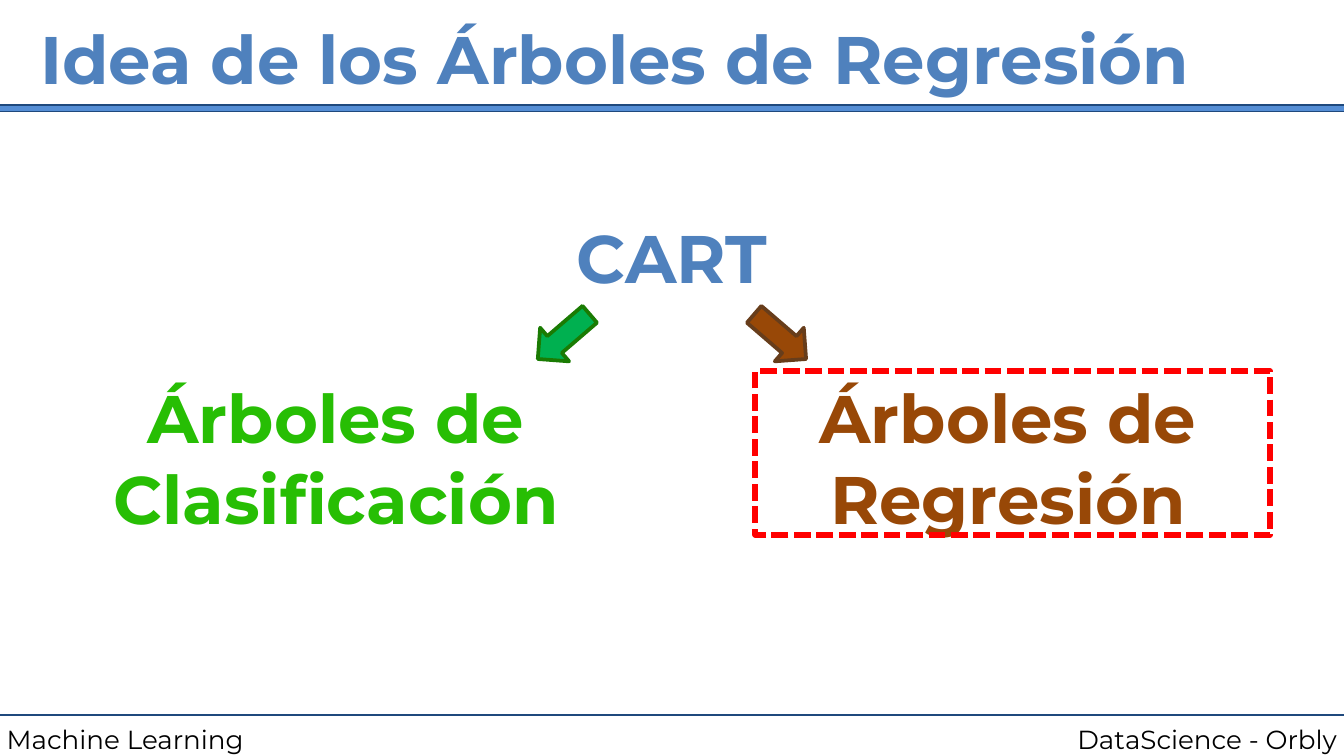
from dataclasses import dataclass

from lxml import etree
from pptx import Presentation
from pptx.dml.color import RGBColor
from pptx.enum.dml import MSO_LINE
from pptx.enum.shapes import MSO_CONNECTOR, MSO_SHAPE
from pptx.enum.text import MSO_ANCHOR, MSO_AUTO_SIZE, PP_ALIGN
from pptx.oxml.ns import qn
from pptx.util import Inches, Pt

LEFT, CENTER, RIGHT = PP_ALIGN.LEFT, PP_ALIGN.CENTER, PP_ALIGN.RIGHT
TOP, NO_AUTOFIT = MSO_ANCHOR.TOP, MSO_AUTO_SIZE.NONE
RECTANGLE, DOWN_ARROW = MSO_SHAPE.RECTANGLE, MSO_SHAPE.DOWN_ARROW
STRAIGHT, SQUARE_DASH = MSO_CONNECTOR.STRAIGHT, MSO_LINE.SQUARE_DOT

COLORS = {
    "navy": "1F497D",
    "bar": "558ED5",
    "heading": "4F81BD",
    "black": "000000",
    "green_text": "27BE04",
    "green_fill": "00B050",
    "green_edge": "1A7B03",
    "brown": "984807",
    "brown_edge": "673D1B",
    "red": "FF0000",
}
FONT = "Montserrat"
WIDTH = 10
HEIGHT = WIDTH * 9 / 16
HALF = WIDTH / 2
FOOTER_TOP = 5.32
ARROW_TILT = 49.3
HEADING = {"size": Pt(36), "bold": True}
FOOTER = {"size": Pt(14), "bold": False}


@dataclass
class Label:
    text: str
    box: tuple[float, float, float, float]
    color: str
    font_format: dict
    alignment: PP_ALIGN = CENTER


@dataclass
class Figure:
    preset: MSO_SHAPE
    box: tuple[float, float, float, float]
    fill: str | None
    edge: str
    edge_width: float
    rotation: float = 0
    dash: MSO_LINE | None = None


def rgb(name: str) -> RGBColor:
    return RGBColor.from_string(COLORS[name])


def write_label(shape, label: Label) -> None:
    shape.left, shape.top, shape.width, shape.height = map(Inches, label.box)
    frame = shape.text_frame
    frame_format = {"word_wrap": True, "auto_size": NO_AUTOFIT, "vertical_anchor": TOP}
    frame_format |= {f"margin_{side}": Inches(0.05) for side in ("left", "top", "right", "bottom")}
    for name, value in frame_format.items():
        setattr(frame, name, value)
    paragraph = frame.paragraphs[0]
    paragraph.alignment = label.alignment
    run = paragraph.add_run()
    run.text = label.text
    for name, value in {"name": FONT, **label.font_format}.items():
        setattr(run.font, name, value)
    run.font.color.rgb = rgb(label.color)


def draw_label(slide, label: Label) -> None:
    write_label(slide.shapes.add_textbox(*map(Inches, label.box)), label)


def draw_figure(slide, figure: Figure) -> None:
    shape = slide.shapes.add_shape(figure.preset, *map(Inches, figure.box))
    shape.shadow.inherit = False
    shape.rotation = figure.rotation
    if figure.fill:
        shape.fill.solid()
        shape.fill.fore_color.rgb = rgb(figure.fill)
    else:
        shape.fill.background()
    shape.line.color.rgb = rgb(figure.edge)
    shape.line.width = Pt(figure.edge_width)
    if figure.dash:
        shape.line.dash_style = figure.dash


def draw_footer_rule(slide) -> None:
    rule = slide.shapes.add_connector(
        STRAIGHT, 0, Inches(FOOTER_TOP), Inches(WIDTH), Inches(FOOTER_TOP)
    )
    rule.line.color.rgb = rgb("navy")
    rule.line.width = Pt(1.5)
    etree.SubElement(rule.element.spPr, qn("a:effectLst"))


TITLE = Label("Idea de los Árboles de Regresión", (0.25, 0.08, 9.5, 0.81),
              "heading", HEADING, LEFT)
LABELS = [
    Label("Machine Learning", (0, 5.33, 3.25, 0.34), "black", FOOTER, LEFT),
    Label("DataScience - Orbly", (7.08, 5.33, 2.92, 0.34), "black", FOOTER, RIGHT),
    Label("CART", (0, 1.56, WIDTH, 0.7), "heading", HEADING),
    Label("Árboles de Clasificación", (0, 2.75, HALF, 1.29), "green_text", HEADING),
    Label("Árboles de Regresión", (HALF, 2.75, HALF, 1.29), "brown", HEADING),
]
TITLE_BAR = Figure(RECTANGLE, (-0.04, 0.78, 10.08, 0.05), "bar", "navy", 0.75)
BRANCHES = [
    Figure(DOWN_ARROW, (4.03, 2.25, 0.33, 0.51), "green_fill", "green_edge", 2, ARROW_TILT),
    Figure(DOWN_ARROW, (5.64, 2.25, 0.33, 0.51), "brown", "brown_edge", 2, 360 - ARROW_TILT),
    Figure(RECTANGLE, (5.62, 2.76, 3.83, 1.22), None, "red", 3, dash=SQUARE_DASH),
]


def main() -> None:
    presentation = Presentation()
    presentation.slide_width = Inches(WIDTH)
    presentation.slide_height = Inches(HEIGHT)
    slide = presentation.slides.add_slide(presentation.slide_layouts[5])

    # Title and frame of the page
    write_label(slide.shapes.title, TITLE)
    draw_footer_rule(slide)
    draw_figure(slide, TITLE_BAR)

    # Footer texts and the tree labels
    for label in LABELS:
        draw_label(slide, label)

    # Branch arrows and the highlight around regression
    for figure in BRANCHES:
        draw_figure(slide, figure)

    presentation.save("out.pptx")


if __name__ == "__main__":
    main()
